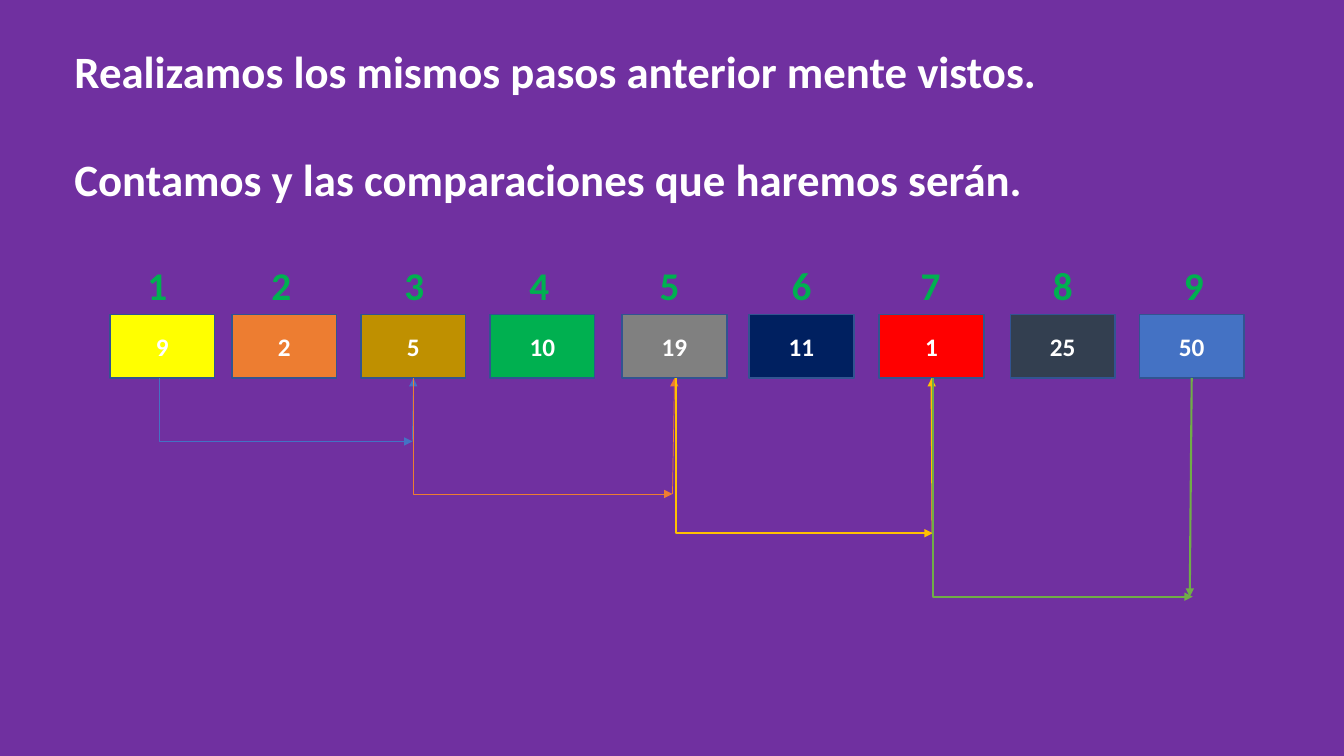
from lxml import etree
from pptx import Presentation
from pptx.dml.color import RGBColor
from pptx.enum.shapes import MSO_CONNECTOR, MSO_SHAPE
from pptx.enum.text import MSO_ANCHOR, PP_ALIGN
from pptx.oxml.ns import qn
from pptx.util import Inches, Pt

RECTANGLE = MSO_SHAPE.RECTANGLE
STRAIGHT, ELBOW = MSO_CONNECTOR.STRAIGHT, MSO_CONNECTOR.ELBOW
CENTER, LEFT, MIDDLE = PP_ALIGN.CENTER, PP_ALIGN.LEFT, MSO_ANCHOR.MIDDLE
BOTTOM_SIDE = 2
CELL_WIDTH, CELL_HEIGHT, LABEL_HEIGHT = 1.04, 0.63, 0.57

HEADING = [
    "Realizamos los mismos pasos anterior mente vistos.",
    "Contamos y las comparaciones que haremos serán.",
]
# value, fill, cell left, label left
CELLS = [
    ("9", "FFFF00", 1.09, 1.04),
    ("2", "ED7D31", 2.3, 2.27),
    ("5", "BF9000", 3.58, 3.59),
    ("10", "00B050", 4.86, 4.83),
    ("19", "808080", 6.17, 6.12),
    ("11", "002060", 7.43, 7.43),
    ("1", "FF0000", 8.72, 8.71),
    ("25", "333F50", 10.02, 10.02),
    ("50", "4472C4", 11.3, 11.32),
]
# start x, end x, depth y, colour, line width, index of the cell reached
JUMPS = [
    (1.58, 4.09, 4.38, "4472C4", 0.5, 2),
    (4.1, 6.67, 4.9, "ED7D31", 0.5, 4),
    (6.7, 9.25, 5.29, "FFC000", 1.5, 6),
    (9.25, 11.83, 5.92, "70AD47", 1.5, 8),
]


def color(value):
    """Turn a hex string into a colour."""
    return RGBColor.from_string(value)


def write(frame, lines, size, ink, align, gap=0):
    """Fill a text frame with bold paragraphs."""
    frame.word_wrap = True
    frame.text = "\n".join(lines)
    for index, para in enumerate(frame.paragraphs):
        para.alignment = align
        para.space_before = Pt(gap if index else 0)
        for span in para.runs:
            span.font.name = "Calibri"
            span.font.size = Pt(size)
            span.font.bold = True
            span.font.color.rgb = color(ink)


def add_text(page, left, top, width, height, *style):
    """Place a text box with styled lines."""
    box = page.shapes.add_textbox(
        Inches(left), Inches(top), Inches(width), Inches(height))
    write(box.text_frame, *style)


def add_cells(page, top):
    """Draw the numbered row of array cells and return the rectangles."""
    boxes = []
    for number, (value, fill, left, label_left) in enumerate(CELLS, 1):
        box = page.shapes.add_shape(
            RECTANGLE, Inches(left), Inches(top),
            Inches(CELL_WIDTH), Inches(CELL_HEIGHT))
        box.shadow.inherit = False
        box.fill.solid()
        box.fill.fore_color.rgb = color(fill)
        box.line.color.rgb = color("325491")
        box.line.width = Pt(1)
        box.text_frame.vertical_anchor = MIDDLE
        write(box.text_frame, [value], 18, "FFFFFF", CENTER)
        add_text(page, label_left, top - 0.58, CELL_WIDTH, LABEL_HEIGHT,
                 [str(number)], 28, "00B050", CENTER)
        boxes.append(box)
    return boxes


def add_arrow(page, kind, start, end, ink, width):
    """Draw a connector with a triangle at its end."""
    arrow = page.shapes.add_connector(
        kind, *(Inches(value) for value in (*start, *end)))
    arrow.line.color.rgb = color(ink)
    arrow.line.width = Pt(width)
    outline = arrow.line._get_or_add_ln()
    etree.SubElement(outline, qn("a:tailEnd"), type="triangle")
    etree.SubElement(arrow.element.spPr, qn("a:effectLst"))
    return arrow


def add_corner_arrow(page, start, end, ink, width):
    """Draw an arrow that goes down and then right."""
    middle_x, middle_y = (start[0] + end[0]) / 2, (start[1] + end[1]) / 2
    half_run, half_drop = (end[0] - start[0]) / 2, (end[1] - start[1]) / 2
    arrow = add_arrow(
        page, ELBOW, (middle_x - half_drop, middle_y - half_run),
        (middle_x + half_drop, middle_y + half_run), ink, width)
    properties = arrow.element.spPr
    properties.find(qn("a:prstGeom")).set("prst", "bentConnector2")
    frame = properties.find(qn("a:xfrm"))
    frame.set("rot", "16200000")
    frame.set("flipH", "1")


def add_jumps(page, boxes, top):
    """Draw the comparison arrows below the cells."""
    for start, end, depth, ink, width, target in JUMPS:
        add_corner_arrow(page, (start, top), (end, depth), ink, width)
        if target == len(boxes) - 1:
            arrow = add_arrow(page, STRAIGHT, (end, top), (11.8, depth), ink, width)
            arrow.begin_connect(boxes[target], BOTTOM_SIDE)
        else:
            arrow = add_arrow(page, STRAIGHT, (end, depth), (end, top), ink, width)
            arrow.end_connect(boxes[target], BOTTOM_SIDE)


def build_comparisons(page):
    """Compose the slide of array comparisons."""
    page.background.fill.solid()
    page.background.fill.fore_color.rgb = color("7030A0")
    add_text(page, 0.64, 0.38, 12.55, 1.72, HEADING, 32, "FFFFFF", LEFT, 39)
    row_top = 3.12
    boxes = add_cells(page, row_top)
    add_jumps(page, boxes, row_top + CELL_HEIGHT)


def main():
    """Create and save the deck."""
    deck = Presentation()
    deck.slide_width, deck.slide_height = Inches(13.33), Inches(7.5)
    build_comparisons(deck.slides.add_slide(deck.slide_layouts[6]))
    deck.save("out.pptx")


if __name__ == "__main__":
    main()
